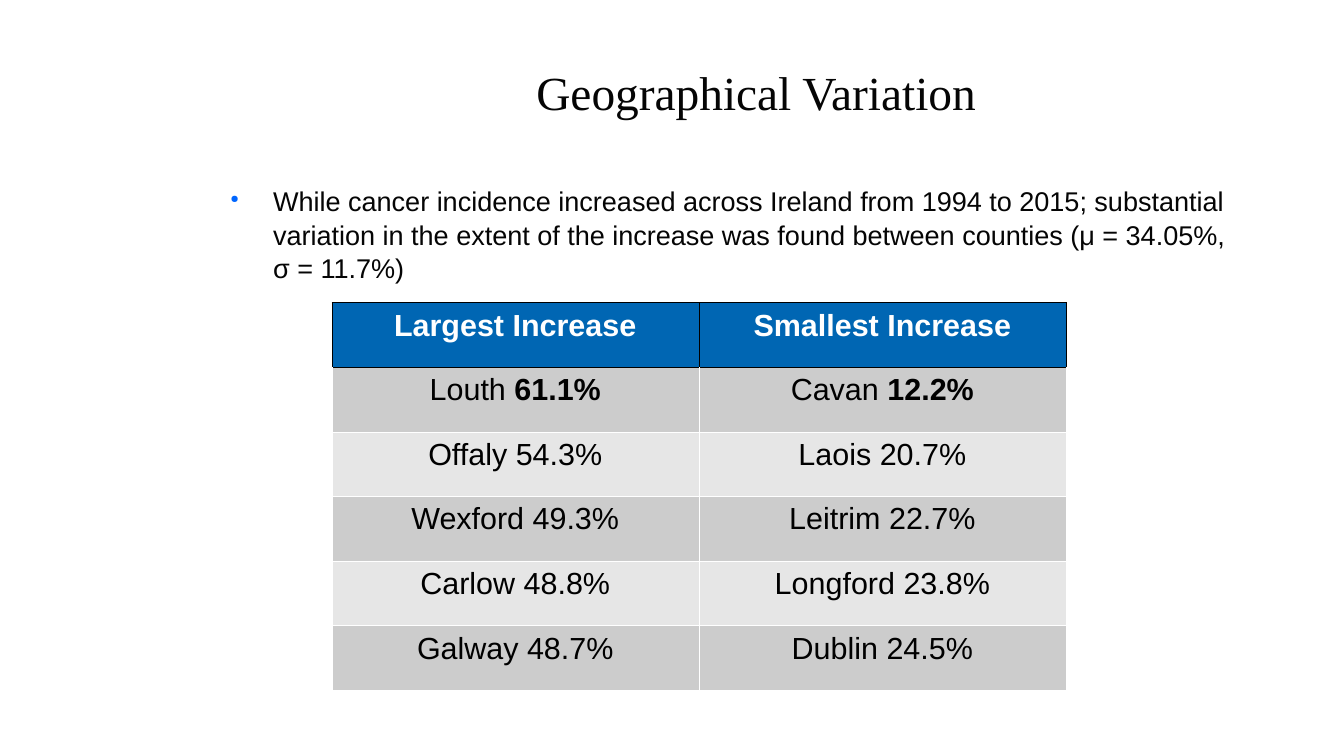
from dataclasses import dataclass

from lxml.etree import SubElement
from pptx import Presentation
from pptx.dml.color import RGBColor
from pptx.enum.text import MSO_ANCHOR, PP_ALIGN
from pptx.oxml.ns import qn
from pptx.util import Inches, Pt

INK, BLACK, WHITE = "050505", "000000", "FFFFFF"
HEADER_BLUE, BULLET_BLUE = "0066B3", "0066FF"
BANDS = ("CCCCCC", "E6E6E6")
ROW_HEIGHT, COLUMN_WIDTH = 0.53, 3.01


@dataclass
class County:
    name: str
    increase: str


LARGEST = [County("Louth", "61.1%"), County("Offaly", "54.3%"), County("Wexford", "49.3%"),
           County("Carlow", "48.8%"), County("Galway", "48.7%")]
SMALLEST = [County("Cavan", "12.2%"), County("Laois", "20.7%"), County("Leitrim", "22.7%"),
            County("Longford", "23.8%"), County("Dublin", "24.5%")]
COLUMNS = {"Largest Increase": LARGEST, "Smallest Increase": SMALLEST}


def color(value: str) -> RGBColor:
    return RGBColor.from_string(value)


def add_text(para, text: str, *, size: float = 18, font: str = "Arial",
             ink: str = BLACK, bold: bool = False) -> None:
    span = para.add_run()
    span.text = text
    span.font.size = Pt(size)
    span.font.name = font
    span.font.bold = bold
    span.font.color.rgb = color(ink)


def add_box(page, left: float, top: float, width: float, height: float):
    box = page.shapes.add_textbox(Inches(left), Inches(top), Inches(width), Inches(height))
    frame = box.text_frame
    frame.word_wrap = True
    frame.margin_left = frame.margin_top = frame.margin_right = frame.margin_bottom = 0
    return frame


def add_bullet(para) -> None:
    properties = para._p.get_or_add_pPr()
    properties.set("marL", str(Inches(0.47)))
    properties.set("indent", str(Inches(-0.35)))
    bullet_color = SubElement(properties, qn("a:buClr"))
    SubElement(bullet_color, qn("a:srgbClr"), val=BULLET_BLUE)
    SubElement(properties, qn("a:buSzPct"), val="40000")
    SubElement(properties, qn("a:buChar"), char="●")


def style_cell(cell, fill: str, edge: str, top_edge: str):
    properties = cell._tc.get_or_add_tcPr()
    for side, line_color in (("L", edge), ("R", edge), ("T", top_edge), ("B", edge)):
        line = SubElement(properties, qn(f"a:ln{side}"), w=str(Pt(0.06)))
        solid = SubElement(line, qn("a:solidFill"))
        SubElement(solid, qn("a:srgbClr"), val=line_color)
    cell.fill.solid()
    cell.fill.fore_color.rgb = color(fill)
    para = cell.text_frame.paragraphs[0]
    para.alignment = PP_ALIGN.CENTER
    return para


def add_county_table(page) -> None:
    row_count = len(LARGEST) + 1
    table = page.shapes.add_table(
        row_count, len(COLUMNS), Inches(2.72), Inches(2.48),
        Inches(COLUMN_WIDTH * len(COLUMNS)), Inches(ROW_HEIGHT * row_count)).table
    for row in table.rows:
        row.height = Inches(ROW_HEIGHT)
    for column, (heading, counties) in enumerate(COLUMNS.items()):
        table.columns[column].width = Inches(COLUMN_WIDTH)
        para = style_cell(table.cell(0, column), HEADER_BLUE, BLACK, BLACK)
        add_text(para, heading, ink=WHITE, bold=True)
        for index, county in enumerate(counties):
            is_first = index == 0
            para = style_cell(table.cell(index + 1, column), BANDS[index % 2],
                              WHITE, BLACK if is_first else WHITE)
            add_text(para, f"{county.name} ")
            add_text(para, county.increase, bold=is_first)


def main() -> None:
    deck = Presentation()
    deck.slide_width, deck.slide_height = Inches(11.02), Inches(6.2)
    page = deck.slides.add_slide(deck.slide_layouts[6])

    # Title
    title = add_box(page, 1.77, 0.24, 8.86, 1.02)
    title.vertical_anchor = MSO_ANCHOR.MIDDLE
    title.paragraphs[0].alignment = PP_ALIGN.CENTER
    add_text(title.paragraphs[0], "Geographical Variation",
             size=28, font="Times New Roman", ink=INK)

    # Finding
    para = add_box(page, 1.77, 1.5, 8.86, 3.6).paragraphs[0]
    para.line_spacing = 1.04
    para.space_after = Pt(7.1)
    add_bullet(para)
    add_text(para, "While cancer incidence increased across Ireland from 1994 to 2015; "
                   "substantial variation in the extent of the increase was found "
                   "between counties (μ = 34.05%,", size=16, ink=INK)
    para.add_line_break()
    add_text(para, "σ = 11.7%)", size=16, ink=INK)

    # Counties with the largest and smallest increases
    add_county_table(page)

    deck.save("out.pptx")


if __name__ == "__main__":
    main()
